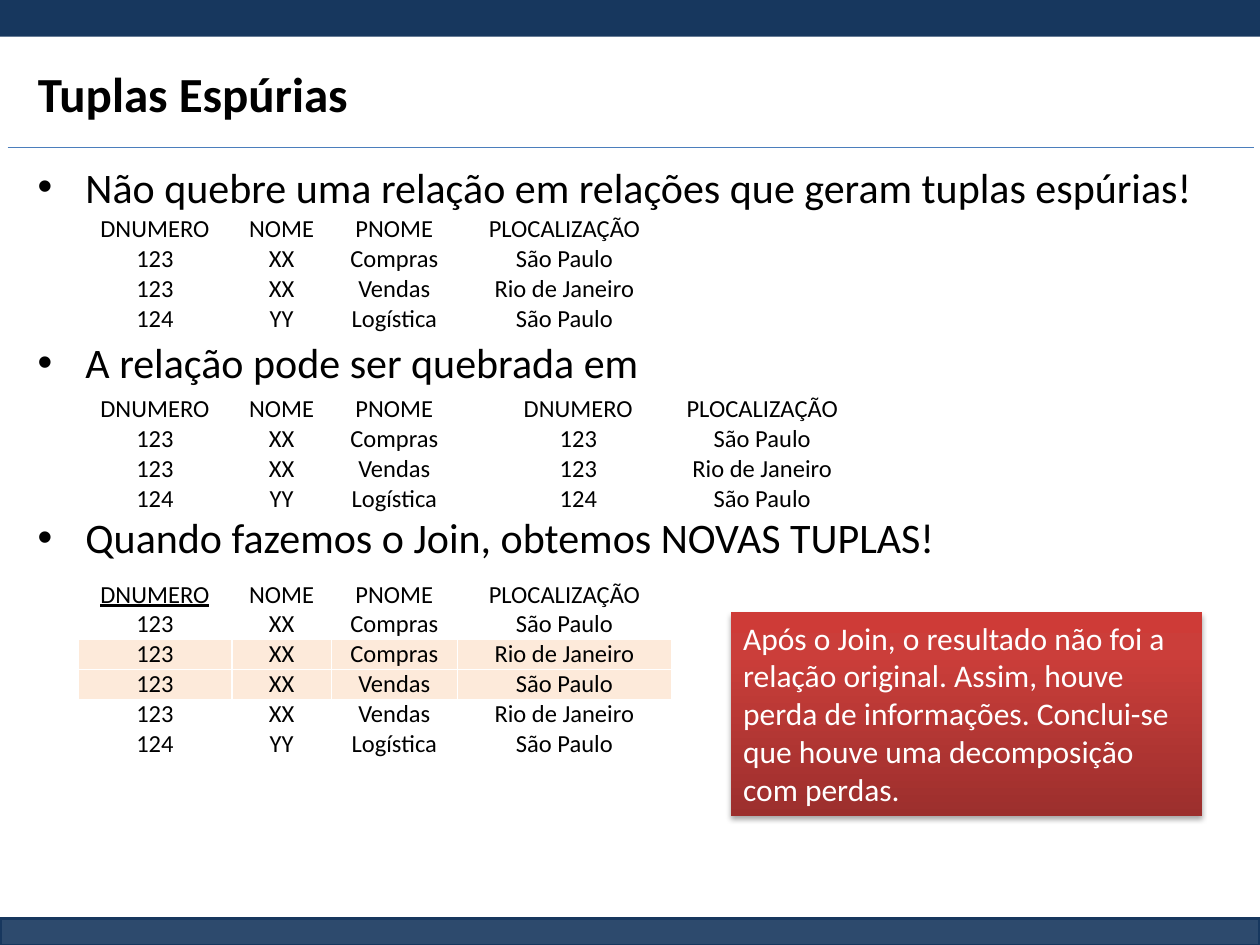
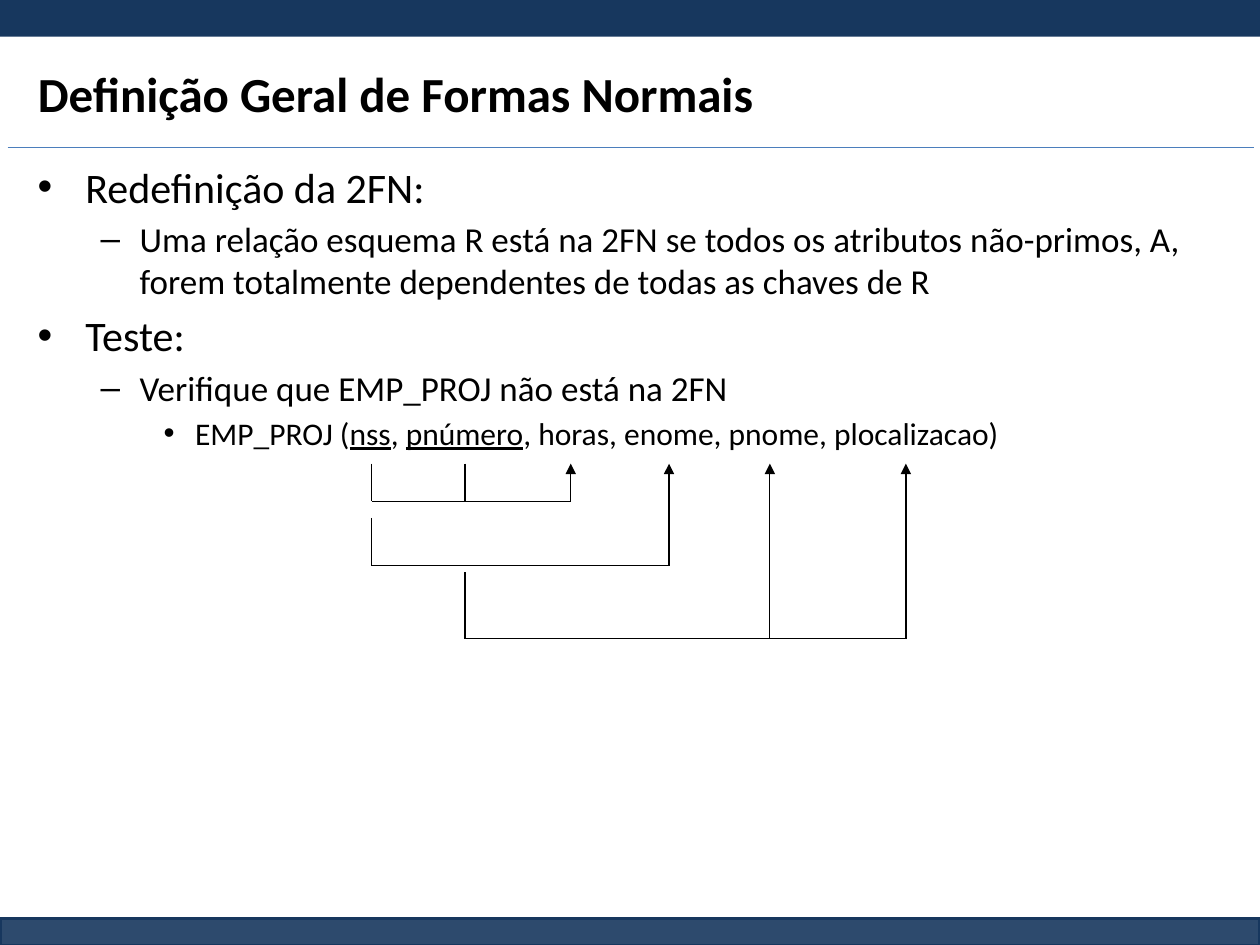
from dataclasses import dataclass

from lxml import etree
from pptx import Presentation
from pptx import util as u
from pptx.dml.color import RGBColor
from pptx.enum import shapes, text
from pptx.oxml.ns import qn


@dataclass(frozen=True)
class Theme:
    font: str = "Calibri"
    navy: str = "17375E"
    rule: str = "4B7EBC"
    ink: str = "000000"
    paper: str = "FFFFFF"
    spurious: str = "FDEADA"
    callout: tuple = ((0, "9C2F2D"), (80, "CB3E3A"), (100, "CE3B37"))
    title_size: int = 28
    callout_size: int = 18
    cell_size: int = 14
    thin: float = 0.75
    levels: tuple = (
        (24, "•", 0.38, 0.38),
        (20, "–", 0.81, 0.31),
        (18, "•", 1.25, 0.25),
    )


THEME = Theme()
WIDTH, HEIGHT = u.Inches(10), u.Inches(7.5)
COLUMNS, ROWS = 100, 75
SPACE_SHARE = 0.18
SECTION_GAP = 71.3

COLUMN_SPANS = {"DNUMERO": 12.2, "NOME": 7.9, "PNOME": 10, "PLOCALIZAÇÃO": 17}
ROW_SPAN = 2.38
PROJECTS = [
    ("123", "XX", "Compras", "São Paulo"),
    ("123", "XX", "Vendas", "Rio de Janeiro"),
    ("124", "YY", "Logística", "São Paulo"),
]
JOINED = [
    PROJECTS[0],
    ("123", "XX", "Compras", "Rio de Janeiro"),
    ("123", "XX", "Vendas", "São Paulo"),
    *PROJECTS[1:],
]
ATTRIBUTES = {
    "nss": 29.5,
    "pnúmero": 36.9,
    "horas": 45.3,
    "enome": 53.1,
    "pnome": 61.1,
    "plocalizacao": 71.9,
}
ATTRIBUTE_ROW = 36.8


def col(count):
    return round(WIDTH * count / COLUMNS)


def row(count):
    return round(HEIGHT * count / ROWS)


def area(left, top, width, height):
    return col(left), row(top), col(width), row(height)


def rgb(value):
    return RGBColor.from_string(value)


def apply(target, values):
    for name, value in values.items():
        setattr(target, name, value)


def add_xml(parent, tag, **attributes):
    return etree.SubElement(parent, qn(tag), attributes)


def style_font(font, size, color, bold=False, underline=False):
    apply(font, dict(name=THEME.font, size=u.Pt(size), bold=bold, underline=underline))
    font.color.rgb = rgb(color)


def add_band(slide, top, height, outlined=False):
    band = slide.shapes.add_shape(
        shapes.MSO_SHAPE.RECTANGLE, *area(0, top, COLUMNS, height))
    band.shadow.inherit = False
    band.fill.solid()
    band.fill.fore_color.rgb = rgb(THEME.navy)
    if outlined:
        tint = band._element.spPr.find(qn("a:solidFill"))[0]
        add_xml(tint, "a:alpha", val="90000")
        band.line.color.rgb = rgb(THEME.navy)
        band.line.width = u.Pt(2)
    else:
        band.line.fill.background()


def add_line(slide, start, end, color=THEME.ink, arrow=False):
    line = slide.shapes.add_connector(
        shapes.MSO_CONNECTOR.STRAIGHT,
        col(start[0]), row(start[1]), col(end[0]), row(end[1]))
    line.line.width = u.Pt(THEME.thin)
    line.line.color.rgb = rgb(color)
    properties = line._element.spPr
    if arrow:
        add_xml(properties.find(qn("a:ln")), "a:tailEnd", type="triangle")
    add_xml(properties, "a:effectLst")


def add_page(deck, heading):
    slide = deck.slides.add_slide(deck.slide_layouts[5])
    add_band(slide, 72.9, 2.2, outlined=True)
    add_band(slide, 0, 2.9)
    add_line(slide, (0.6, 11.7), (99.5, 11.7), THEME.rule)
    title = slide.shapes.title
    apply(title, dict(zip(("left", "top", "width", "height"),
                          area(2, 3.8, 96.1, 7.1))))
    title.text = heading
    apply(title.text_frame, dict(
        auto_size=text.MSO_AUTO_SIZE.NONE,
        vertical_anchor=text.MSO_ANCHOR.MIDDLE,
        word_wrap=True))
    paragraph = title.text_frame.paragraphs[0]
    paragraph.alignment = text.PP_ALIGN.LEFT
    style_font(paragraph.runs[0].font, THEME.title_size, THEME.ink, bold=True)
    return slide


def add_outline(slide, items, gap=None):
    outline = slide.shapes.add_textbox(*area(2, 12.3, 96.1, 59.5)).text_frame
    outline.word_wrap = True
    for index, (level, pieces) in enumerate(items):
        size, bullet, margin, hanging = THEME.levels[level]
        paragraph = outline.add_paragraph() if index else outline.paragraphs[0]
        space = gap if gap and index else size * SPACE_SHARE
        apply(paragraph, dict(level=level, space_before=u.Pt(space)))
        properties = paragraph._p.get_or_add_pPr()
        properties.set("marL", str(u.Inches(margin)))
        properties.set("indent", str(-u.Inches(hanging)))
        add_xml(properties, "a:buFont", typeface="Arial")
        add_xml(properties, "a:buChar", char=bullet)
        for position, piece in enumerate(pieces):
            run = paragraph.add_run()
            run.text = piece
            style_font(run.font, size, THEME.ink, underline=position % 2 == 1)


def style_cell(cell, value, fill, underline):
    cell.text = value
    apply(cell, dict(
        margin_left=u.Inches(0.08), margin_right=u.Inches(0.08),
        margin_top=0, margin_bottom=0,
        vertical_anchor=text.MSO_ANCHOR.MIDDLE))
    paragraph = cell.text_frame.paragraphs[0]
    paragraph.alignment = text.PP_ALIGN.CENTER
    style_font(paragraph.runs[0].font, THEME.cell_size, THEME.ink, underline=underline)
    properties = cell._tc.get_or_add_tcPr()
    for side in ("a:lnL", "a:lnR", "a:lnT", "a:lnB"):
        border = add_xml(properties, side, w=str(u.Pt(1)))
        add_xml(add_xml(border, "a:solidFill"), "a:srgbClr", val=THEME.paper)
    cell.fill.solid()
    cell.fill.fore_color.rgb = rgb(fill)


def add_relation(slide, left, top, names, tuples, key=None, spurious=()):
    order = list(COLUMN_SPANS)
    records = [names] + [[entry[order.index(name)] for name in names]
                         for entry in tuples]
    spans = [COLUMN_SPANS[name] for name in names]
    relation = slide.shapes.add_table(
        len(records), len(names),
        *area(left, top, sum(spans), ROW_SPAN * len(records))).table
    apply(relation, dict(first_row=False, horz_banding=False))
    for column, span in zip(relation.columns, spans):
        column.width = col(span)
    for r, record in enumerate(records):
        relation.rows[r].height = row(ROW_SPAN)
        fill = THEME.spurious if r in spurious else THEME.paper
        for c, value in enumerate(record):
            style_cell(relation.cell(r, c), value, fill, value == key)


def add_callout(slide, message):
    callout = slide.shapes.add_shape(
        shapes.MSO_SHAPE.RECTANGLE, *area(58, 48.6, 37.4, 16.2))
    callout.fill.gradient()
    callout.fill.gradient_angle = 90
    callout.line.fill.background()
    properties = callout._element.spPr
    stops = properties.find(qn("a:gradFill")).find(qn("a:gsLst"))
    for stop in list(stops):
        stops.remove(stop)
    for position, color in THEME.callout:
        stop = add_xml(stops, "a:gs", pos=str(position * 1000))
        add_xml(stop, "a:srgbClr", val=color)
    callout.shadow.inherit = False
    shadow = add_xml(
        properties.find(qn("a:effectLst")), "a:outerShdw",
        blurRad=str(u.Pt(3.1)), dist=str(u.Pt(1.8)), dir="5400000", rotWithShape="0")
    add_xml(add_xml(shadow, "a:srgbClr", val=THEME.ink), "a:alpha", val="35000")
    frame = callout.text_frame
    apply(frame, dict(word_wrap=True, vertical_anchor=text.MSO_ANCHOR.TOP,
                      auto_size=text.MSO_AUTO_SIZE.SHAPE_TO_FIT_TEXT))
    frame.text = message
    frame.paragraphs[0].alignment = text.PP_ALIGN.LEFT
    style_font(frame.paragraphs[0].runs[0].font, THEME.callout_size, THEME.paper)


def add_dependency(slide, sources, targets, top, base):
    starts = [ATTRIBUTES[name] for name in sources]
    ends = [ATTRIBUTES[name] for name in targets]
    for x in starts:
        add_line(slide, (x, top), (x, base))
    add_line(slide, (starts[0], base), (ends[-1], base))
    for x in ends:
        add_line(slide, (x, base), (x, ATTRIBUTE_ROW), arrow=True)


def build_spurious_tuples(deck):
    slide = add_page(deck, "Tuplas Espúrias")
    add_outline(slide, [
        (0, ["Não quebre uma relação em relações que geram tuplas espúrias!"]),
        (0, ["A relação pode ser quebrada em"]),
        (0, ["Quando fazemos o Join, obtemos NOVAS TUPLAS!"]),
    ], gap=SECTION_GAP)
    names = list(COLUMN_SPANS)
    add_relation(slide, 6.2, 17, names, PROJECTS)
    add_relation(slide, 6.2, 31.3, names[:3], PROJECTS)
    add_relation(slide, 39.8, 31.3, [names[0], names[3]], PROJECTS)
    add_relation(slide, 6.2, 46, names, JOINED, key=names[0], spurious=(2, 3))
    add_callout(slide, "Após o Join, o resultado não foi a relação original. "
                       "Assim, houve perda de informações. Conclui-se que houve "
                       "uma decomposição com perdas.")


def build_normal_forms(deck):
    slide = add_page(deck, "Definição Geral de Formas Normais")
    add_outline(slide, [
        (0, ["Redefinição da 2FN:"]),
        (1, ["Uma relação esquema R está na 2FN se todos os atributos "
             "não-primos, A, forem totalmente dependentes de todas as chaves de R"]),
        (0, ["Teste:"]),
        (1, ["Verifique que EMP_PROJ não está na 2FN"]),
        (2, ["EMP_PROJ (", "nss", ", ", "pnúmero",
             ", horas, enome, pnome, plocalizacao)"]),
    ])
    add_dependency(slide, ["nss", "pnúmero"], ["horas"], ATTRIBUTE_ROW, 39.8)
    add_dependency(slide, ["nss"], ["enome"], 41.1, 44.9)
    add_dependency(slide, ["pnúmero"], ["pnome", "plocalizacao"], 45.4, 50.7)


def main():
    deck = Presentation()
    apply(deck, dict(slide_width=WIDTH, slide_height=HEIGHT))
    build_spurious_tuples(deck)
    build_normal_forms(deck)
    deck.save("out.pptx")


main()
